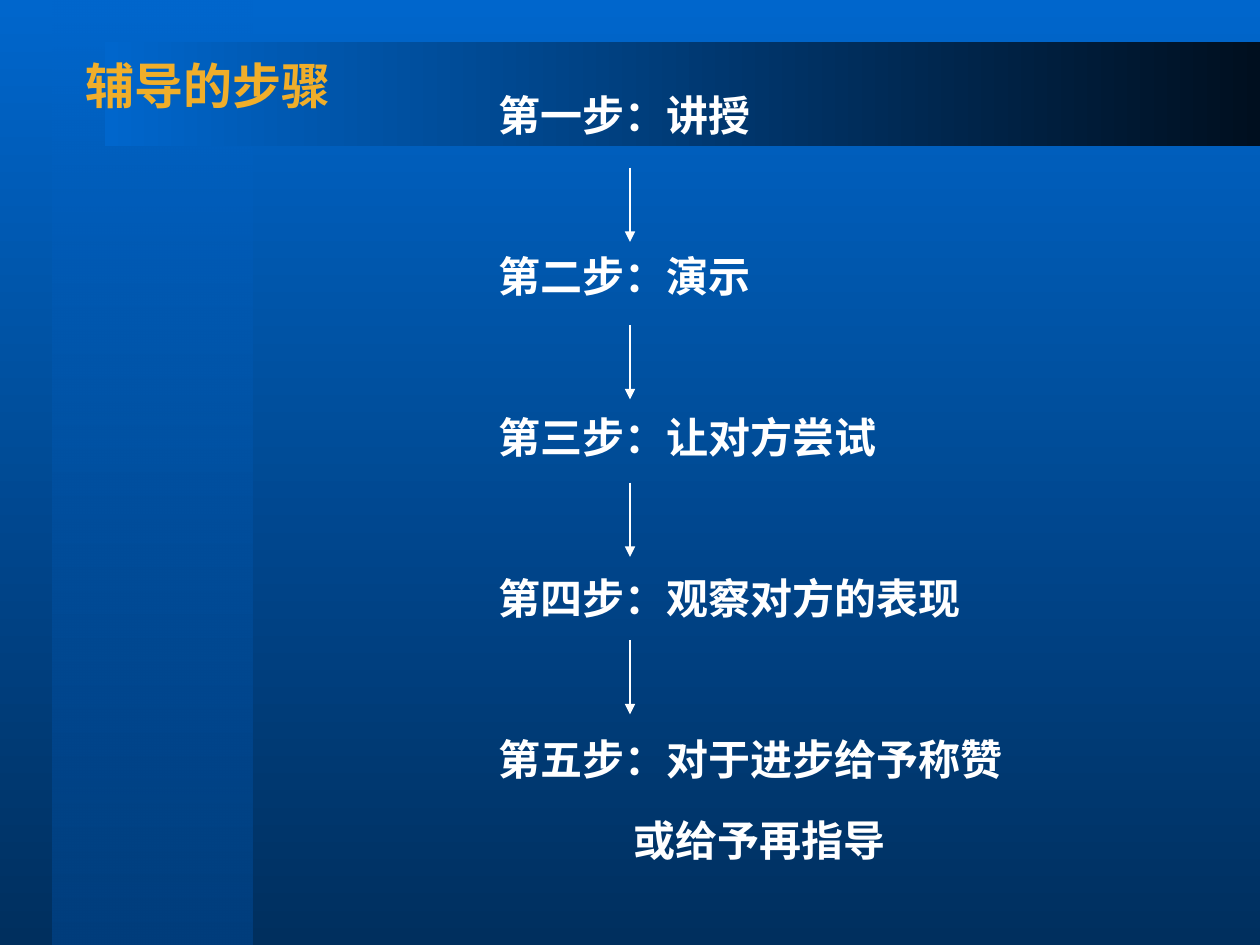
from lxml import etree
from pptx import Presentation
from pptx import util as u
from pptx.dml.color import RGBColor
from pptx.enum import shapes, text
from pptx.oxml.ns import qn


def color(value):
    return RGBColor.from_string(value)


class Page:
    """Holds the style and the current slide."""

    WHITE, GOLD = "FFFFFF", "F0AE2A"
    LATIN, HAN = "Times New Roman", "Noto Sans CJK SC"

    def __init__(self, deck):
        self.slide = deck.slides.add_slide(deck.slide_layouts[1])
        self.back = 2  # decoration goes behind the placeholders

    def gradient(self, fill, start, end, angle):
        fill.gradient()
        fill.gradient_angle = (360 - angle) % 360  # angle is clockwise
        for stop, value, place in zip(fill.gradient_stops, (start, end), (0, 1)):
            stop.color.rgb = color(value)
            stop.position = place

    def band(self, left, top, width, height, start, end, angle, opacity=None):
        shape = self.slide.shapes.add_shape(
            shapes.MSO_SHAPE.RECTANGLE, *map(u.Inches, (left, top, width, height)))
        shape.shadow.inherit = False
        shape.line.fill.background()
        self.gradient(shape.fill, start, end, angle)
        if opacity is not None:
            first = next(shape._element.spPr.iter(qn("a:srgbClr")))
            etree.SubElement(first, qn("a:alpha"), val=str(opacity * 1000))
        self.slide.shapes._spTree.insert(self.back, shape._element)
        self.back += 1

    def place(self, box, left, top, width, height, anchor):
        box.left, box.top, box.width, box.height = map(
            u.Inches, (left, top, width, height))
        frame = box.text_frame
        frame.word_wrap = True
        frame.auto_size = text.MSO_AUTO_SIZE.NONE
        frame.vertical_anchor = anchor
        return frame

    def span(self, para, words, size, value, font):
        run = para.add_run()
        run.text = words
        run.font.size = u.Pt(size)
        run.font.bold = True
        run.font.color.rgb = color(value)
        run.font.name = font
        etree.SubElement(run._r.get_or_add_rPr(), qn("a:ea"), typeface=self.HAN)

    def title(self, words, *area):
        frame = self.place(self.slide.shapes.title, *area, text.MSO_ANCHOR.MIDDLE)
        para = frame.paragraphs[0]
        para.alignment = text.PP_ALIGN.LEFT
        self.span(para, words, 28, self.GOLD, self.LATIN)

    def steps(self, lines, *area):
        frame = self.place(self.slide.placeholders[1], *area, text.MSO_ANCHOR.TOP)
        for index, (words, before, indent) in enumerate(lines):
            para = frame.paragraphs[0] if index == 0 else frame.add_paragraph()
            props = para._p.get_or_add_pPr()
            props.set("marL", str(u.Inches(indent)))
            props.set("indent", "0")
            etree.SubElement(props, qn("a:buNone"))
            para.alignment = text.PP_ALIGN.LEFT
            para.line_spacing = 1.6
            para.space_before = u.Pt(before)
            self.span(para, words, 24, self.WHITE, self.HAN)

    def arrow(self, x, top, bottom):
        line = self.slide.shapes.add_connector(
            shapes.MSO_CONNECTOR.STRAIGHT, *map(u.Inches, (x, top, x, bottom)))
        line.line.color.rgb = color(self.WHITE)
        line.line.width = u.Pt(0.75)
        etree.SubElement(line.line._get_or_add_ln(), qn("a:tailEnd"), type="triangle")
        etree.SubElement(line._element.spPr, qn("a:effectLst"))


def main():
    deck = Presentation()
    deck.slide_width, deck.slide_height = u.Inches(10), u.Inches(7.5)
    page = Page(deck)

    # Background and decoration
    page.gradient(page.slide.background.fill, "0066CC", "002F5E", 90)
    page.band(0.42, 0, 1.58, 7.5, "0066CC", "003E7D", 90, opacity=50)
    page.band(0.83, 0.33, 9.17, 0.83, "000F1F", "0066CC", 180)

    # Title and steps: (words, points before, indent in inches)
    page.title("辅导的步骤", 0.58, 0.42, 2.33, 0.5)
    gap = 46
    page.steps([
        ("第一步：讲授", 0, 0),
        ("第二步：演示", gap, 0),
        ("第三步：让对方尝试", gap, 0),
        ("第四步：观察对方的表现", gap, 0),
        ("第五步：对于进步给予称赞", gap, 0),
        ("或给予再指导", 0, 1.07),
    ], 3.86, 0.42, 4.4, 6.5)

    # Arrows between the steps
    for index in range(4):
        top = 1.33 + 1.25 * index
        page.arrow(5, top, top + 0.59)

    deck.save("out.pptx")


if __name__ == "__main__":
    main()
